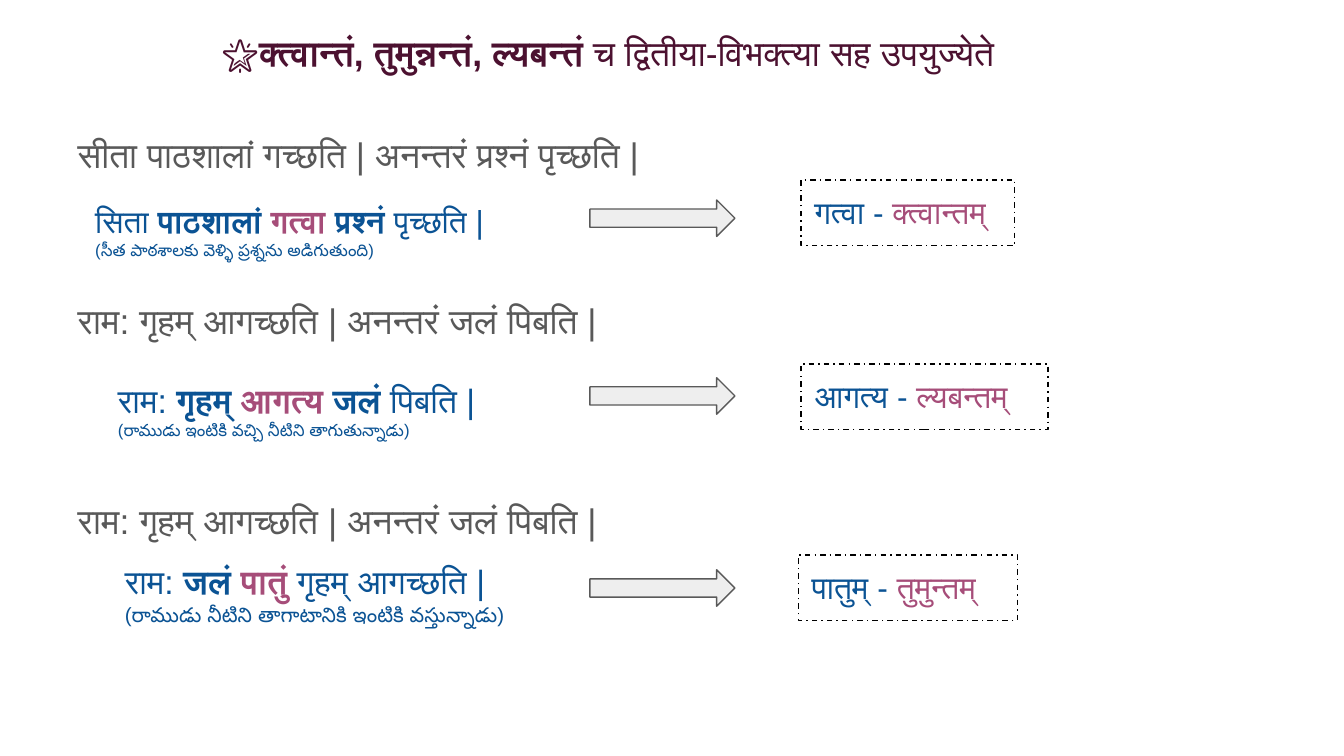
from dataclasses import dataclass

from lxml import etree
from pptx import Presentation
from pptx import util as u
from pptx.dml.color import RGBColor
from pptx.enum import dml, shapes, text
from pptx.oxml import ns


@dataclass(frozen=True)
class Theme:
    font: str = "Arial"
    plum: str = "4C1130"
    blue: str = "0B5394"
    pink: str = "A64D79"
    grey: str = "595959"
    pale: str = "EEEEEE"
    black: str = "000000"
    heading: int = 19
    label: int = 17
    line: float = 0.75


THEME = Theme()


class SlideBuilder:
    def __init__(self, slide, theme):
        self.slide = slide
        self.theme = theme

    def fill_text(self, shape, paragraphs):
        frame = shape.text_frame
        frame_format = {
            "word_wrap": True,
            "auto_size": text.MSO_AUTO_SIZE.SHAPE_TO_FIT_TEXT,
            "vertical_anchor": text.MSO_ANCHOR.TOP,
            "margin_left": u.Cm(0.25),
            "margin_right": u.Cm(0.25),
            "margin_top": u.Cm(0.25),
            "margin_bottom": u.Cm(0.25),
        }
        for name, value in frame_format.items():
            setattr(frame, name, value)
        for index, (size, runs) in enumerate(paragraphs):
            paragraph = frame.add_paragraph() if index else frame.paragraphs[0]
            paragraph.alignment = text.PP_ALIGN.LEFT
            for words, color, bold in runs:
                run = paragraph.add_run()
                run.text = words
                font_format = {"name": self.theme.font, "size": u.Pt(size), "bold": bold}
                for name, value in font_format.items():
                    setattr(run.font, name, value)
                run.font.color.rgb = RGBColor.from_string(color)
                script_font = etree.SubElement(run.font._element, ns.qn("a:cs"))
                script_font.set("typeface", self.theme.font)

    def text_box(self, left, top, width, height, paragraphs):
        box = self.slide.shapes.add_textbox(*map(u.Cm, (left, top, width, height)))
        self.fill_text(box, paragraphs)

    def outlined_shape(self, kind, left, top, width, height, color):
        shape = self.slide.shapes.add_shape(kind, *map(u.Cm, (left, top, width, height)))
        shape.shadow.inherit = False
        shape.line.color.rgb = RGBColor.from_string(color)
        shape.line.width = u.Pt(self.theme.line)
        return shape

    def arrow(self, top):
        shape = self.outlined_shape(
            shapes.MSO_SHAPE.RIGHT_ARROW, 11.15, top, 2.74, 0.69, self.theme.grey)
        shape.fill.solid()
        shape.fill.fore_color.rgb = RGBColor.from_string(self.theme.pale)

    def label(self, left, top, width, word, form):
        shape = self.outlined_shape(
            shapes.MSO_SHAPE.RECTANGLE, left, top, width, 1.24, self.theme.black)
        shape.fill.background()
        shape.line.dash_style = dml.MSO_LINE.DASH_DOT
        runs = [(word + " - ", self.theme.blue, False), (form, self.theme.pink, False)]
        self.fill_text(shape, [(self.theme.label, runs)])

    def sentence(self, top, width, words):
        runs = [(words, self.theme.grey, False)]
        self.text_box(1.22, top, width, 1.32, [(self.theme.heading, runs)])

    def joined_sentence(self, place, sizes, parts, meaning):
        start, before, verb, after, end = parts
        blue, pink = self.theme.blue, self.theme.pink
        styled = [(start, blue, False), (before, blue, True), (verb, pink, True),
                  (after, blue, True), (end, blue, False)]
        runs = [part for part in styled if part[0]]
        self.text_box(*place, [(sizes[0], runs), (sizes[1], [(meaning, blue, False)])])


EXAMPLES = [
    {
        "sentence": (2.26, 12.22, "सीता पाठशालां गच्छति | अनन्तरं प्रश्नं पृच्छति |"),
        "joined": ((1.55, 3.56, 9.02, 1.63), (17, 9),
                   ("सिता ", "पाठशालां ", "गत्वा ", "प्रश्नं", " पृच्छति |"),
                   "(సీత పాఠశాలకు వెళ్ళి ప్రశ్నను అడిగుతుంది)"),
        "arrow": 3.78,
        "label": (15.14, 3.4, 4.04, "गत्वा", "क्त्वान्तम्"),
    },
    {
        "sentence": (5.41, 11.63, "राम: गृहम् आगच्छति | अनन्तरं जलं पिबति |"),
        "joined": ((1.98, 6.93, 8.36, 1.68), (18, 9),
                   ("राम: ", "गृहम् ", "आगत्य ", "जलं", " पिबति |"),
                   "(రాముడు ఇంటికి వచ్చి నీటిని తాగుతున్నాడు)"),
        "arrow": 7.14,
        "label": (15.14, 6.88, 4.67, "आगत्य", "ल्यबन्तम्"),
    },
    {
        "sentence": (9.19, 11.63, "राम: गृहम् आगच्छति | अनन्तरं जलं पिबति |"),
        "joined": ((2.11, 10.36, 8.86, 1.75), (18, 11),
                   ("राम: ", "जलं ", "पातुं ", "", "गृहम् आगच्छति |"),
                   "(రాముడు నీటిని తాగాటానికి ఇంటికి వస్తున్నాడు)"),
        "arrow": 10.77,
        "label": (15.09, 10.49, 4.14, "पातुम्", "तुमुन्तम्"),
    },
]


def main():
    presentation = Presentation()
    presentation.slide_width = u.Cm(25.4)
    presentation.slide_height = u.Cm(14.29)
    slide = presentation.slides.add_slide(presentation.slide_layouts[6])
    builder = SlideBuilder(slide, THEME)
    title = [("🌟", THEME.plum, False),
             ("क्त्वान्तं, तुमुन्नन्तं, ल्यबन्तं ", THEME.plum, True),
             ("च द्वितीया-विभक्त्या सह उपयुज्येते", THEME.plum, False)]
    builder.text_box(3.94, 0.33, 17.4, 1.32, [(THEME.heading, title)])
    for example in EXAMPLES:
        builder.sentence(*example["sentence"])
        builder.joined_sentence(*example["joined"])
        builder.arrow(example["arrow"])
        builder.label(*example["label"])
    presentation.save("out.pptx")


if __name__ == "__main__":
    main()
